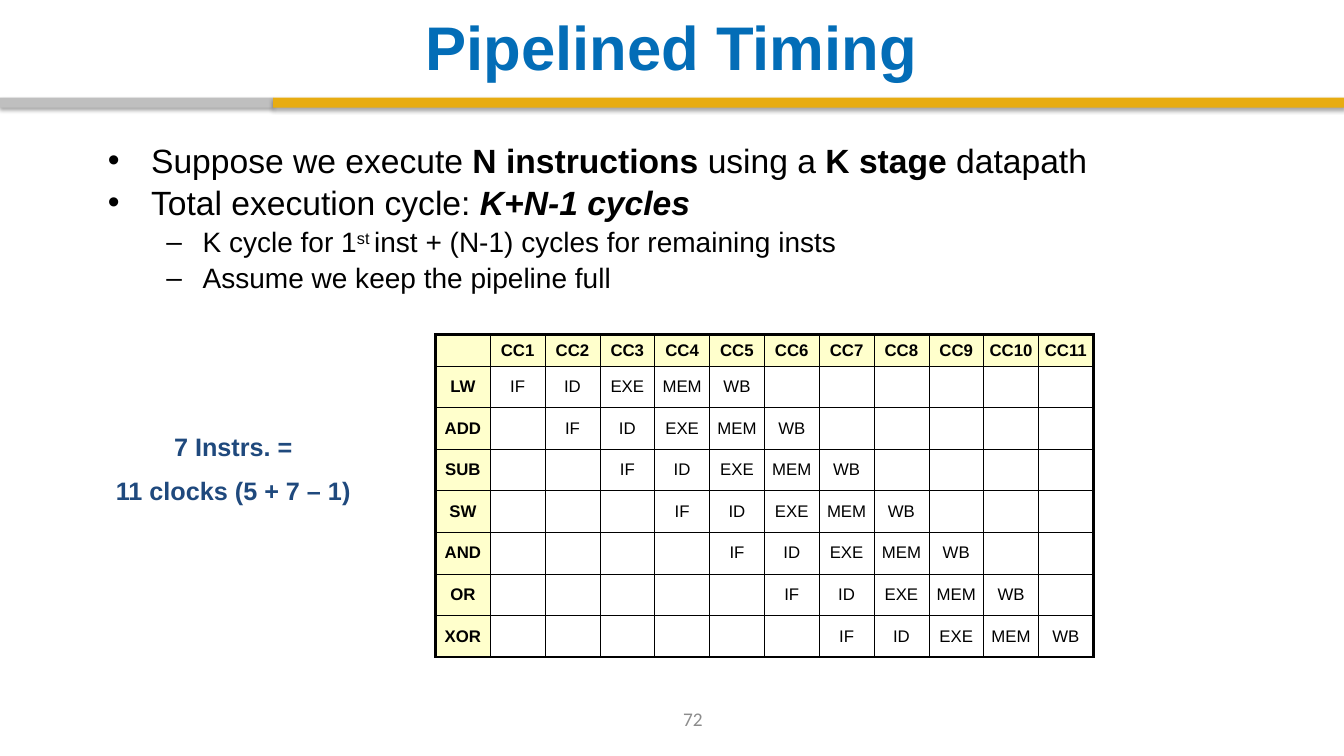
from lxml import etree
from pptx import Presentation, util as u
from pptx.dml.color import RGBColor
from pptx.enum import shapes, text
from pptx.oxml import ns

COLORS = {"blue": "036DB7", "gold": "E7AC11", "silver": "BFBFBF", "navy": "1F497D",
          "gray": "8C8C8C", "black": "000000", "cream": "FFFFCC"}

deck = Presentation()
deck.slide_width, deck.slide_height = u.Inches(13.33), u.Inches(7.5)
slide = deck.slides.add_slide(deck.slide_layouts[6])


def place(left, top, width, height):
    """Turn percentages of the slide into lengths."""
    w, h = deck.slide_width / 100, deck.slide_height / 100
    return [int(n) for n in (left * w, top * h, width * w, height * h)]


def style(paragraph, size, color="black", bold=None, face="Arial", align=None):
    paragraph.alignment = align
    font = paragraph.font
    font.name, font.size, font.bold = face, u.Pt(size), bold
    font.color.rgb = RGBColor.from_string(COLORS[color])


CENTER, MIDDLE = text.PP_ALIGN.CENTER, text.MSO_ANCHOR.MIDDLE

# Two-coloured rule under the title
split = 20.33
for left, width, color in [(0, split, "silver"), (split, 100 - split, "gold")]:
    rule = slide.shapes.add_shape(shapes.MSO_SHAPE.RECTANGLE, *place(left, 12.93, width, 1.33))
    rule.fill.solid()
    rule.fill.fore_color.rgb = RGBColor.from_string(COLORS[color])
    rule.line.fill.background()
    rule.shadow.inherit = False
    effects = rule._element.spPr.find(ns.qn("a:effectLst"))
    shadow = etree.SubElement(effects, ns.qn("a:outerShdw"), blurRad=str(u.Pt(3.1)),
                              dist=str(u.Pt(1.8)), dir="5400000", rotWithShape="0")
    shade = etree.SubElement(shadow, ns.qn("a:srgbClr"), val=COLORS["black"])
    etree.SubElement(shade, ns.qn("a:alpha"), val="35000")

# Title, side note and page number
labels = [
    ((5, 1.07, 90, 10.13), ["Pipelined Timing"], 44, "blue", True, "Arial", MIDDLE),
    ((7.75, 56.4, 19.2, 11.47), ["7 Instrs. =", "11 clocks (5 + 7 – 1)"],
     18, "navy", True, "Arial", None),
    ((39.9, 92.4, 23.33, 5.33), ["72"], 13.8, "gray", None, "Calibri", MIDDLE),
]
for area, lines, size, color, bold, face, anchor in labels:
    frame = slide.shapes.add_textbox(*place(*area)).text_frame
    frame.word_wrap = True
    frame.vertical_anchor = anchor
    frame.text = "\n".join(lines)
    for line in frame.paragraphs:
        style(line, size, color, bold, face, CENTER)
    for line in frame.paragraphs[1:]:
        line.space_before = u.Pt(9.5)

# Bullets: (level, [(text, emphasis)]) with b bold, i italic, ^ superscript
bullets = [
    (0, [("Suppose we execute ", ""), ("N instructions ", "b"), ("using a ", ""),
         ("K stage ", "b"), ("datapath", "")]),
    (0, [("Total execution cycle: ", ""), ("K+N-1 cycles", "bi")]),
    (1, [("K cycle for 1", ""), ("st ", "^"), ("inst + (N-1) cycles for remaining insts", "")]),
    (1, [("Assume we keep the pipeline full", "")]),
]
levels = [("•", 24, 0.43, -0.43, 4.2), ("–", 20, 0.94, -0.36, 4.2)]
body = slide.shapes.add_textbox(*place(7.28, 17.87, 88.13, 66)).text_frame
body.word_wrap = True
for index, (level, pieces) in enumerate(bullets):
    mark, size, margin, indent, gap = levels[level]
    bullet = body.add_paragraph() if index else body.paragraphs[0]
    bullet.level = level
    properties = bullet._p.get_or_add_pPr()
    properties.set("marL", str(u.Inches(margin)))
    properties.set("indent", str(u.Inches(indent)))
    etree.SubElement(properties, ns.qn("a:buFont"), typeface="Arial")
    etree.SubElement(properties, ns.qn("a:buChar"), char=mark)
    if index:
        bullet.line_spacing, bullet.space_before = 0.9, u.Pt(gap)
    style(bullet, size)
    for words, emphasis in pieces:
        run = bullet.add_run()
        run.text = words
        if "b" in emphasis:
            run.font.bold = True
        if "i" in emphasis:
            run.font.italic = True
        if "^" in emphasis:
            run._r.get_or_add_rPr().set("baseline", "30000")

# Pipeline table: each instruction starts one clock after the one before
instructions = ["LW", "ADD", "SUB", "SW", "AND", "OR", "XOR"]
stages = ["IF", "ID", "EXE", "MEM", "WB"]
clocks = len(stages) + len(instructions) - 1
rows, columns = len(instructions) + 1, clocks + 1
area = place(32.4, 44.27, 48.98, 42.67)
timing = slide.shapes.add_table(rows, columns, *area).table
timing.first_row = timing.horz_banding = False
header_height = u.Inches(0.31)
for row in range(rows):
    timing.rows[row].height = (area[3] - header_height) // (rows - 1) if row else header_height
for column in range(columns):
    timing.columns[column].width = area[2] // columns

for row in range(rows):
    for column in range(columns):
        cell = timing.cell(row, column)
        heading = row == 0 or column == 0
        stage = column - row
        if row == 0:
            cell.text = f"CC{column}" if column else ""
        elif column == 0:
            cell.text = instructions[row - 1]
        elif 0 <= stage < len(stages):
            cell.text = stages[stage]
        style(cell.text_frame.paragraphs[0], 12, bold=heading, align=CENTER)
        cell.vertical_anchor = MIDDLE
        cell.margin_left = cell.margin_right = cell.margin_top = cell.margin_bottom = 0
        # Thick outer frame, thin inner lines
        outer = {"lnL": column == 0, "lnR": column == columns - 1,
                 "lnT": row == 0, "lnB": row == rows - 1}
        for side, thick in outer.items():
            border = etree.SubElement(cell._tc.get_or_add_tcPr(), ns.qn(f"a:{side}"),
                                      w=str(u.Pt(2.25 if thick else 0.5)))
            ink = etree.SubElement(border, ns.qn("a:solidFill"))
            etree.SubElement(ink, ns.qn("a:srgbClr"), val=COLORS["black"])
        if heading:
            cell.fill.solid()
            cell.fill.fore_color.rgb = RGBColor.from_string(COLORS["cream"])
        else:
            cell.fill.background()

deck.save("out.pptx")
